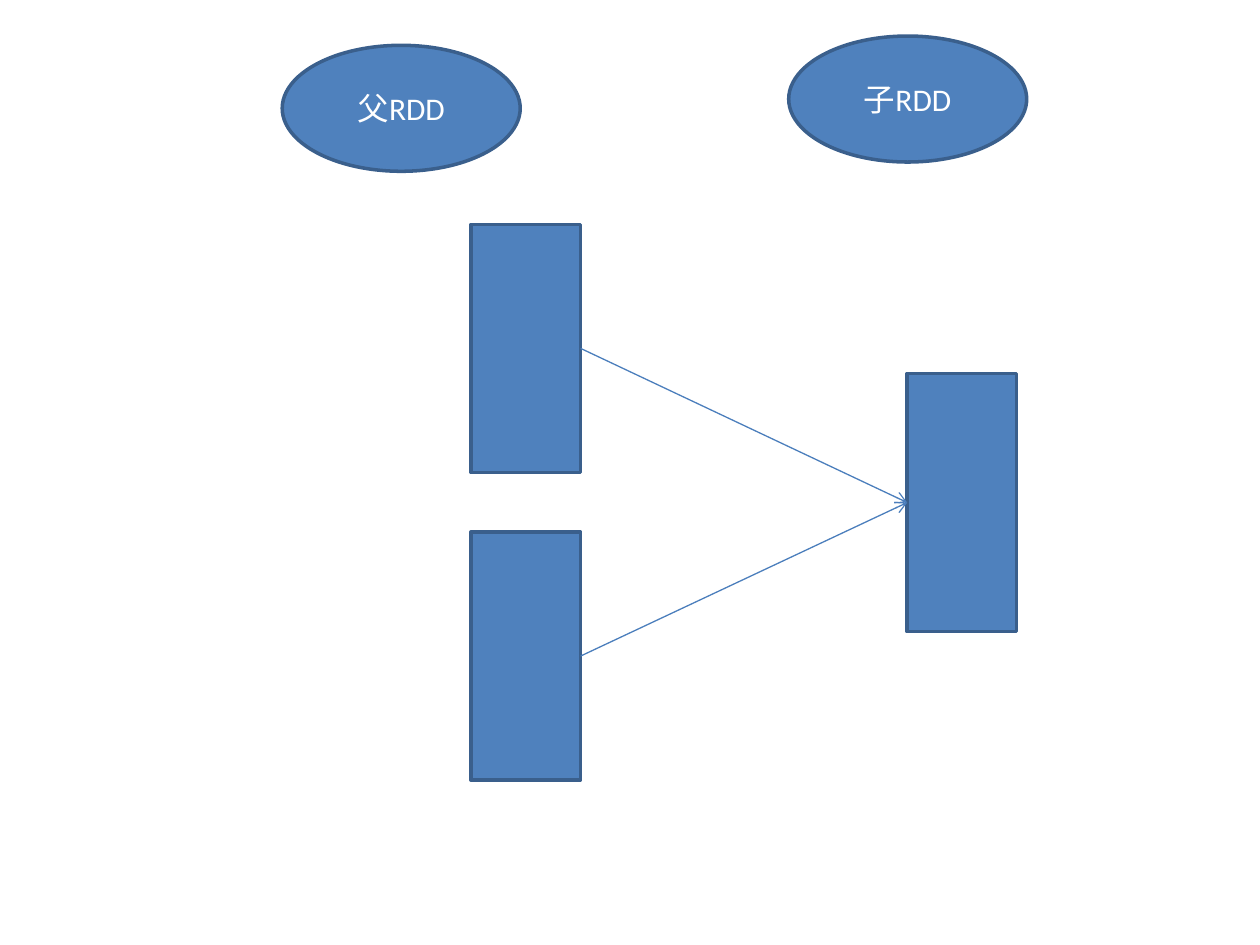
from dataclasses import dataclass
from lxml.etree import SubElement
from pptx import Presentation
from pptx.dml.color import RGBColor as RGB
from pptx.enum.shapes import MSO_CONNECTOR as Connector, MSO_SHAPE as Shape
from pptx.enum.text import MSO_ANCHOR as Anchor, PP_ALIGN as Align
from pptx.oxml.ns import qn
from pptx.util import Pt


@dataclass(frozen=True)
class Theme:
    fill: RGB = RGB(0x4F, 0x81, 0xBD)
    outline: RGB = RGB(0x3A, 0x5F, 0x8C)
    arrow: RGB = RGB(0x4B, 0x7E, 0xBC)
    text: RGB = RGB(0xFF, 0xFF, 0xFF)
    font: str = "Calibri"
    size: int = 18
    outline_width: float = 2
    arrow_width: float = 0.75


class Diagram:
    LEFT, RIGHT = 1, 3

    def __init__(self, slide, theme):
        self.s = slide
        self.theme = theme

    def shape(self, kind, x, y, w, h):
        sp = self.s.shapes.add_shape(kind, Pt(x), Pt(y), Pt(w), Pt(h))
        sp.shadow.inherit = False
        sp.fill.solid()
        sp.fill.fore_color.rgb = self.theme.fill
        sp.line.color.rgb = self.theme.outline
        sp.line.width = Pt(self.theme.outline_width)
        return sp

    def partition(self, x, y, h):
        return self.shape(Shape.RECTANGLE, x, y, 62.6, h)

    def label(self, text, x, y):
        sp = self.shape(Shape.OVAL, x, y, 136, 72)
        tf = sp.text_frame
        tf.text = text
        tf.vertical_anchor = Anchor.MIDDLE
        p = tf.paragraphs[0]
        p.alignment = Align.CENTER
        font = p.runs[0].font
        font.name = self.theme.font
        font.size = Pt(self.theme.size)
        font.color.rgb = self.theme.text

    def arrow(self, source, target):
        cn = self.s.shapes.add_connector(Connector.STRAIGHT, 0, 0, 0, 0)
        cn.begin_connect(source, self.RIGHT)
        cn.end_connect(target, self.LEFT)
        cn.line.color.rgb = self.theme.arrow
        cn.line.width = Pt(self.theme.arrow_width)
        SubElement(cn.line._get_or_add_ln(), qn("a:tailEnd"), type="arrow")
        SubElement(cn._element.spPr, qn("a:effectLst"))


prs = Presentation()
prs.slide_width, prs.slide_height = Pt(720), Pt(540)
d = Diagram(prs.slides.add_slide(prs.slide_layouts[6]), Theme())

d.label("父RDD", 161.3, 25.9)
d.label("子RDD", 450.7, 20.6)

child = d.partition(518.4, 213.4, 147.6)
for top in (128.2, 304):
    parent = d.partition(269.2, top, 141.8)
    d.arrow(parent, child)

prs.save("out.pptx")
